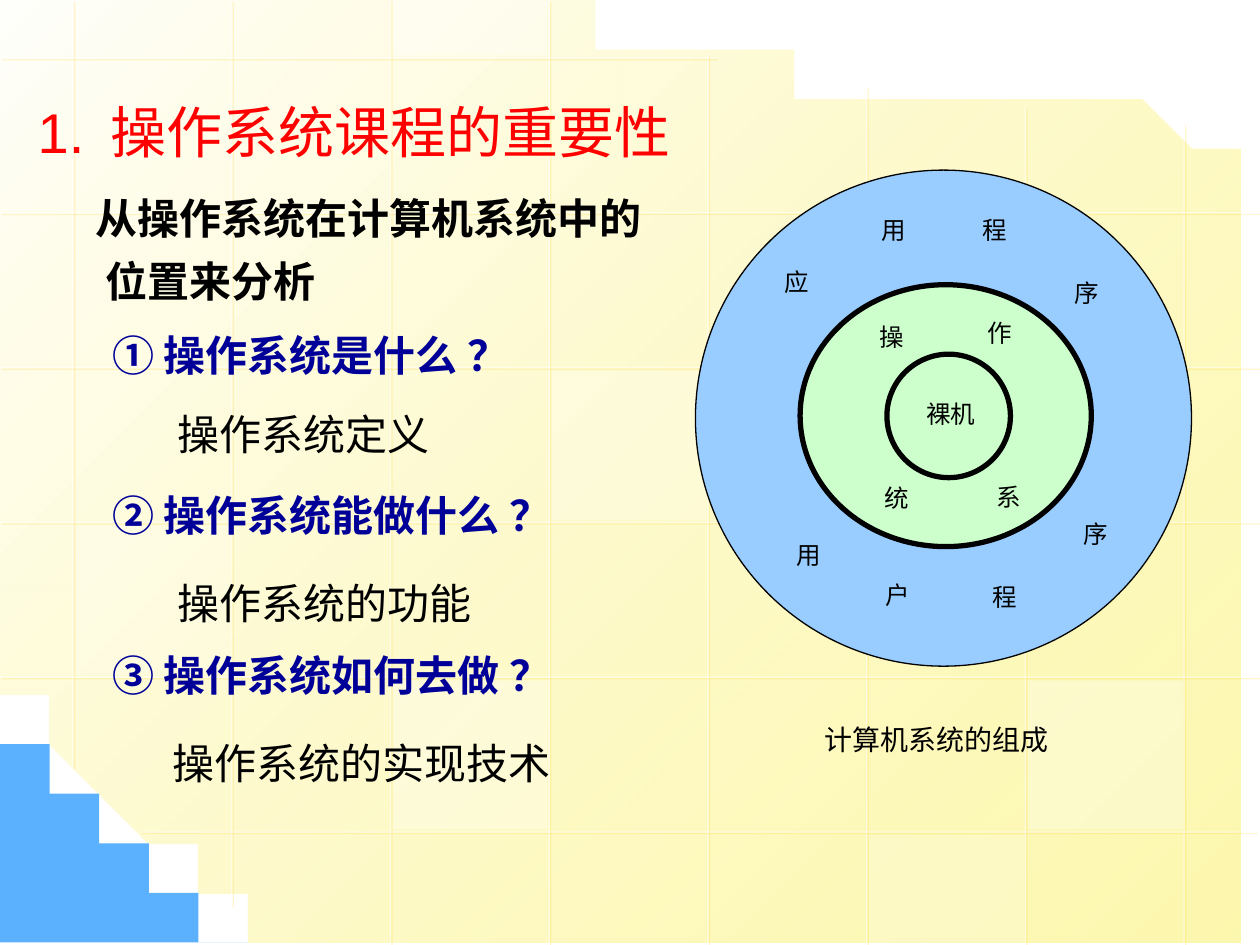
"""Build the slide on why an operating systems course matters."""
from dataclasses import dataclass

from lxml import etree
from pptx import Presentation
from pptx import util as u
from pptx.dml.color import RGBColor
from pptx.enum import shapes, text
from pptx.oxml.ns import qn


@dataclass(frozen=True)
class Theme:
    latin: str = "Times New Roman"
    title_latin: str = "Arial"
    asian: str = "Noto Sans CJK SC"
    title: str = "FF0000"
    question: str = "000099"
    ink: str = "000000"
    white: str = "FFFFFF"
    wedge: str = "5CB1FE"
    grid_shadow: str = "FFCC00"
    wash: tuple = ("FFFFFB", "FDF58D")
    outer: str = "99CCFF"
    inner: str = "CCFFCC"
    title_size: int = 32
    body_size: int = 24
    caption_size: int = 16
    label_size: int = 14


THEME = Theme()
WIDTH, HEIGHT = 25.4, 19.05

TITLE = "1.\t操作系统课程的重要性"
HEADING = "从操作系统在计算机系统中的位置来分析"
QUESTIONS = ["① 操作系统是什么 ？", "② 操作系统能做什么 ？", "③ 操作系统如何去做 ？"]
ANSWERS = [
    ("操作系统定义", 1.73, 7.72, 8.84),
    ("操作系统的功能", 1.73, 11.13, 8.84),
    ("操作系统的实现技术", 1.63, 14.35, 10.49),
]
CAPTION = "计算机系统的组成"
RINGS = [
    (14.02, 3.43, 10, 10, THEME.outer, 0.75),
    (16.13, 5.74, 5.87, 5.28, THEME.inner, 3),
    (17.88, 7.14, 2.49, 2.49, THEME.inner, 3),
]
LABELS = [
    ("裸机", 18.42, 7.87), ("操", 17.48, 6.32), ("作", 19.66, 6.25),
    ("系", 19.84, 9.55), ("统", 17.58, 9.58), ("应", 15.57, 5.21),
    ("用", 17.53, 4.17), ("程", 19.56, 4.17), ("序", 21.41, 5.44),
    ("用", 15.8, 10.72), ("户", 17.6, 11.53), ("程", 19.76, 11.56),
    ("序", 21.59, 10.29),
]

GRID_LEFT, COLUMN_STEP = 1.47, 3.2
GRID_TOP, ROW_STEP = 1.17, 3.12
COLUMN_SPANS = [(0, 15.47), (0, 18.26), (0, HEIGHT), (0, HEIGHT), (1.09, HEIGHT),
                (1.73, HEIGHT), (2.16, HEIGHT), (2.49, HEIGHT)]
ROW_SPANS = [(0, 14.43)] + [(0, WIDTH)] * 4 + [(2.82, 25.32)]
TILES = [(3, 2, 25), (6, 4, 30), (0, 3, 20), (5, 5, 20), (2, -1, 40), (2, 4, 30), (5, 1, 30)]


def curve(start, first, second, end, steps=40):
    points = []
    for step in range(steps + 1):
        t = step / steps
        weights = ((1 - t) ** 3, 3 * t * (1 - t) ** 2, 3 * t * t * (1 - t), t ** 3)
        points.append(tuple(sum(w * p[axis] for w, p in zip(weights, (start, first, second, end)))
                            for axis in (0, 1)))
    return points


SWOOP = curve((10.69, 0.03), (10.69, 0.03), (13.64, 1.75), (WIDTH, 2.64))
HOLLOW = curve((5.84, HEIGHT), (2.18, 16.79), (0, 13.69), (0, 13.69))
BACKDROP = SWOOP + [(WIDTH, HEIGHT)] + HOLLOW + [(0, 0)]
WEDGE = curve((5.16, HEIGHT), (5.16, HEIGHT), (2.84, 18.01), (0.03, 14.2)) + [(0.03, HEIGHT)]


def rgb(value):
    return RGBColor.from_string(value)


def set_alpha(fill_parent, percent):
    color = list(fill_parent.iter(qn("a:srgbClr")))[-1]
    etree.SubElement(color, qn("a:alpha"), val=str(percent * 1000))


def add_outline(page, points):
    builder = page.shapes.build_freeform(*points[0], scale=u.Cm(1))
    builder.add_line_segments(points[1:], close=True)
    shape = builder.convert_to_shape()
    shape.shadow.inherit = False
    shape.line.fill.background()
    return shape


def add_solid(page, kind, left, top, width, height, color):
    shape = page.shapes.add_shape(kind, u.Cm(left), u.Cm(top), u.Cm(width), u.Cm(height))
    shape.shadow.inherit = False
    shape.fill.solid()
    shape.fill.fore_color.rgb = rgb(color)
    return shape


def add_grid_line(page, *ends):
    line = page.shapes.add_connector(shapes.MSO_CONNECTOR.STRAIGHT, *map(u.Cm, ends))
    line.line.color.rgb = rgb(THEME.white)
    line.line.width = u.Pt(0.75)
    properties = line._element.spPr
    set_alpha(properties, 50)
    effects = etree.SubElement(properties, qn("a:effectLst"))
    shadow = etree.SubElement(effects, qn("a:outerShdw"), dist="17780", dir="2700000")
    etree.SubElement(shadow, qn("a:srgbClr"), val=THEME.grid_shadow)
    set_alpha(shadow, 34)


def add_box(page, left, top, width, height):
    box = page.shapes.add_textbox(u.Cm(left), u.Cm(top), u.Cm(width), u.Cm(height))
    box.text_frame.word_wrap = True
    return box.text_frame


def write(para, words, size, line, color=THEME.ink, bold=False, latin=THEME.latin,
          margin=0, indent=0, before=0):
    para.text = words
    para.line_spacing = u.Pt(line)
    para.space_before = u.Pt(before)
    properties = para._p.get_or_add_pPr()
    properties.set("marL", str(u.Cm(margin)))
    properties.set("indent", str(u.Cm(indent)))
    para.font.size = u.Pt(size)
    para.font.bold = bold
    para.font.color.rgb = rgb(color)
    para.font.name = latin
    for span in para.runs:
        etree.SubElement(span._r.get_or_add_rPr(), qn("a:ea"), typeface=THEME.asian)


def draw_background(page):
    backdrop = add_outline(page, BACKDROP)
    backdrop.fill.gradient()
    backdrop.fill.gradient_angle = 315
    for stop, color in zip(backdrop.fill.gradient_stops, THEME.wash):
        stop.color.rgb = rgb(color)
    set_alpha(backdrop._element.spPr, 70)
    wedge = add_outline(page, WEDGE)
    wedge.fill.solid()
    wedge.fill.fore_color.rgb = rgb(THEME.wedge)
    for column, (start, end) in enumerate(COLUMN_SPANS):
        x = GRID_LEFT + column * COLUMN_STEP
        add_grid_line(page, x, start, x, end)
    for row, (start, end) in enumerate(ROW_SPANS):
        y = GRID_TOP + row * ROW_STEP
        add_grid_line(page, end, y, start, y)
    for column, row, alpha in TILES:
        line = GRID_TOP + row * ROW_STEP
        top, bottom = max(0, line + 0.07), min(HEIGHT, line + 3.07)
        tile = add_solid(page, shapes.MSO_SHAPE.RECTANGLE, GRID_LEFT + column * COLUMN_STEP + 0.05,
                         top, 3.12, bottom - top, THEME.white)
        tile.line.fill.background()
        set_alpha(tile._element.spPr, alpha)


def draw_outline_text(page):
    frame = add_box(page, 0.41, 1.24, 13.28, 13.26)
    frame.vertical_anchor = text.MSO_ANCHOR.BOTTOM
    frame.margin_bottom = u.Cm(0.4)
    write(frame.paragraphs[0], HEADING, THEME.body_size, 36, bold=True, margin=1.47, indent=-0.2)
    for number, question in enumerate(QUESTIONS):
        write(frame.add_paragraph(), question, THEME.body_size, 36, THEME.question, True,
              margin=2.54, indent=-0.94, before=55.4 if number else 6.3)
    for answer, left, top, width in ANSWERS:
        write(add_box(page, left, top, width, 1.57).paragraphs[0], answer, THEME.body_size, 40,
              margin=2.54, indent=-0.94)
    write(add_box(page, 0.51, 1.47, 15.95, 1.91).paragraphs[0], TITLE, THEME.title_size, 49,
          THEME.title, latin=THEME.title_latin, margin=1.47, indent=-1.47)


def draw_rings(page):
    for left, top, width, height, color, weight in RINGS:
        ring = add_solid(page, shapes.MSO_SHAPE.OVAL, left, top, width, height, color)
        ring.line.color.rgb = rgb(THEME.ink)
        ring.line.width = u.Pt(weight)
    for label, left, top in LABELS:
        frame = add_box(page, left, top, 0.89 * len(label), 0.89)
        write(frame.paragraphs[0], label, THEME.label_size, 18)
    write(add_box(page, 14.78, 14.17, 7.57, 1.14).paragraphs[0], CAPTION, THEME.caption_size, 27,
          margin=2.54, indent=-0.94)


def main():
    deck = Presentation()
    deck.slide_width, deck.slide_height = u.Cm(WIDTH), u.Cm(HEIGHT)
    page = deck.slides.add_slide(deck.slide_layouts[6])
    draw_background(page)
    draw_outline_text(page)
    draw_rings(page)
    deck.save("out.pptx")


if __name__ == "__main__":
    main()
